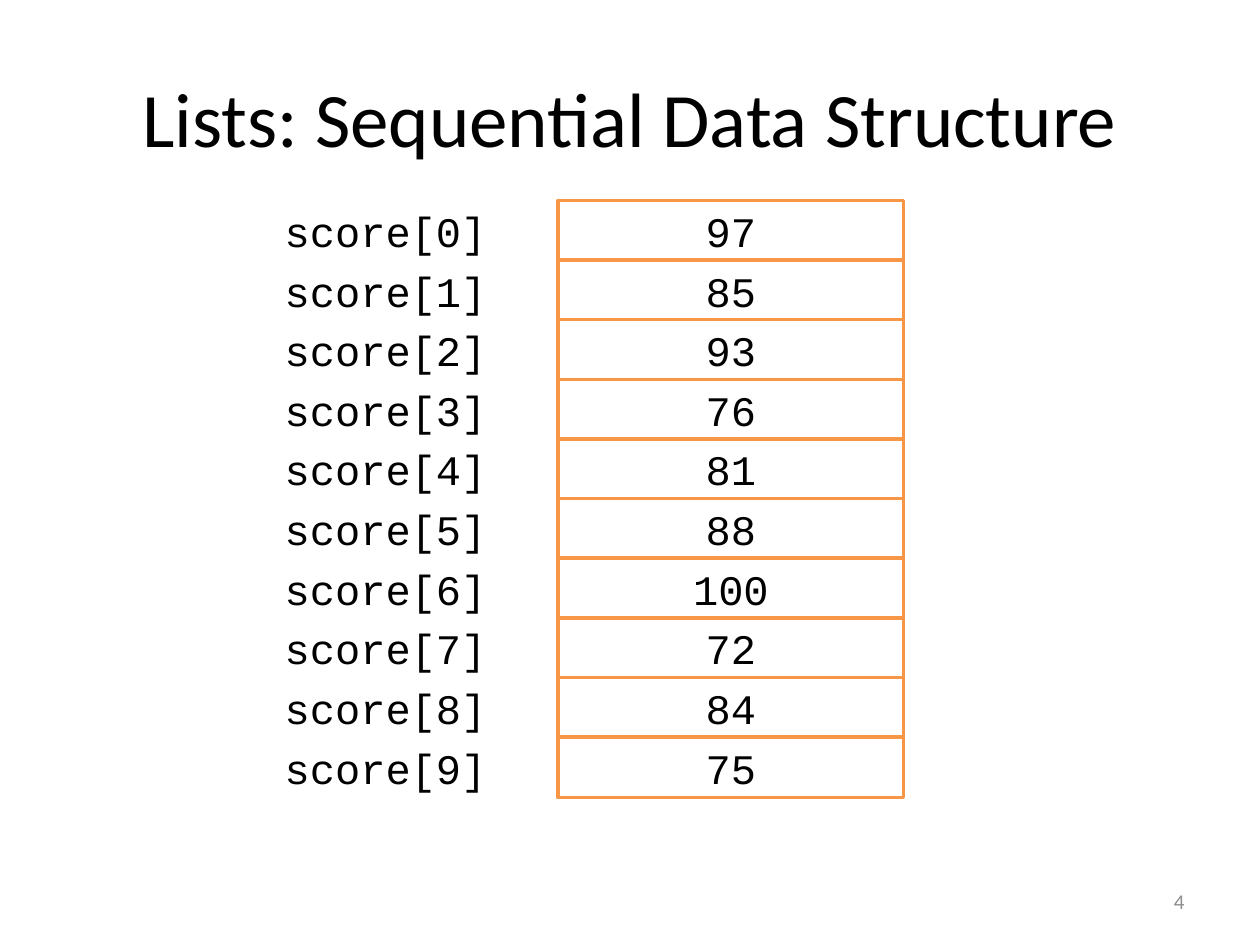
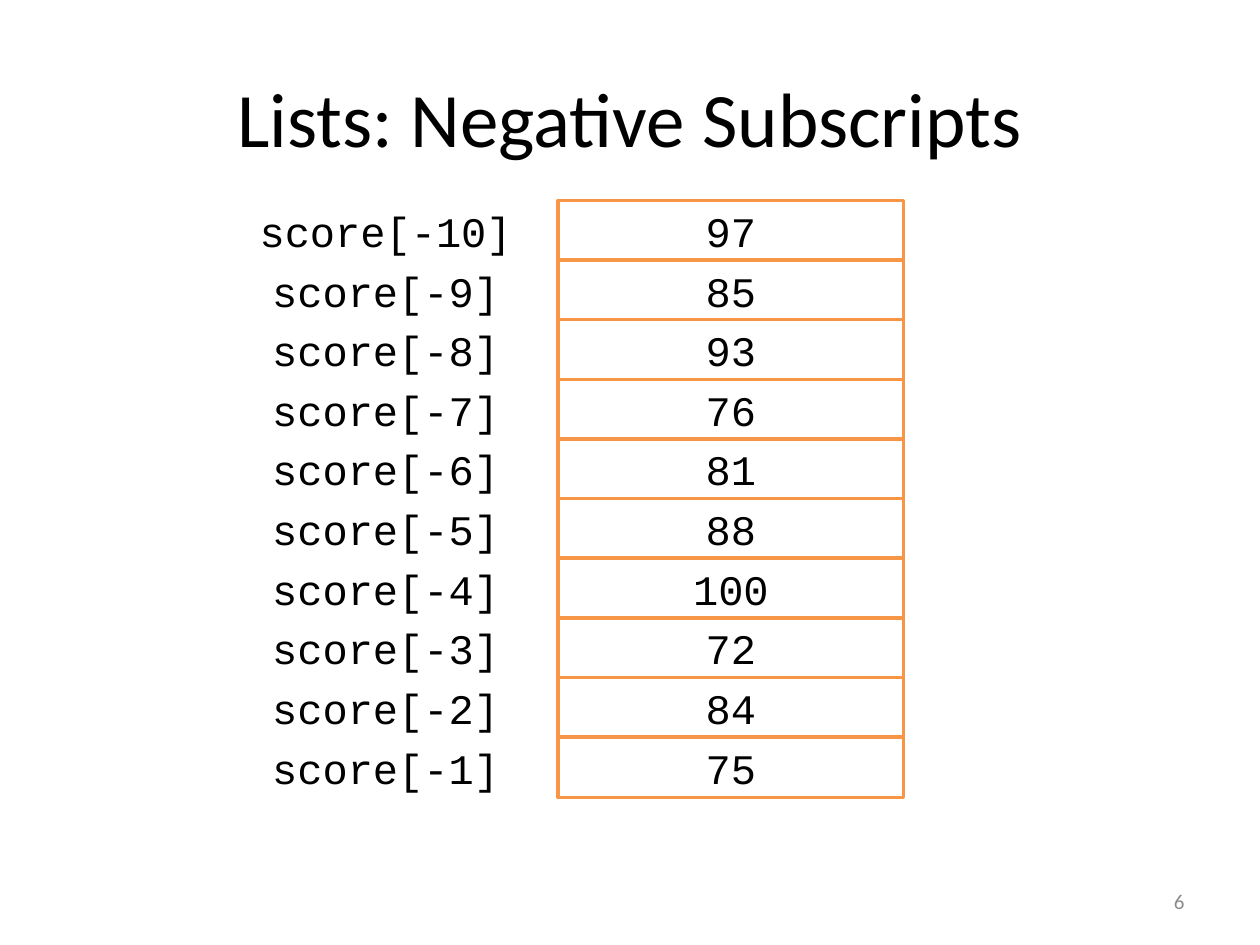
import pptx
import pptx.dml.color
import pptx.enum.shapes
import pptx.enum.text
import pptx.util

Pt = pptx.util.Pt
RGBColor = pptx.dml.color.RGBColor
PP_ALIGN = pptx.enum.text.PP_ALIGN

BLACK = RGBColor(0x00, 0x00, 0x00)
WHITE = RGBColor(0xFF, 0xFF, 0xFF)
ORANGE = RGBColor(0xF7, 0x96, 0x46)
GRAY = RGBColor(0x8C, 0x8C, 0x8C)

BODY_FONT = "Calibri"
CODE_FONT = "Courier New"

TITLE_ONLY_LAYOUT = 5
LABEL_LEFT = 121.7
VALUE_LEFT = 319
FIRST_ROW_TOP = 114.5
ROW_PITCH = 34.08
CELL_WIDTH = 197.3
CELL_HEIGHT = 34.5

SCORES = [97, 85, 93, 76, 81, 88, 100, 72, 84, 75]


def place(shape, left, top, width, height):
    shape.left, shape.top = Pt(left), Pt(top)
    shape.width, shape.height = Pt(width), Pt(height)


def write_text(shape, text, font_name, size, color, alignment):
    frame = shape.text_frame
    frame.word_wrap = True
    frame.auto_size = pptx.enum.text.MSO_AUTO_SIZE.NONE
    frame.vertical_anchor = pptx.enum.text.MSO_ANCHOR.MIDDLE
    paragraph = frame.paragraphs[0]
    paragraph.alignment = alignment
    run = paragraph.add_run()
    run.text = text
    run.font.name = font_name
    run.font.size = Pt(size)
    run.font.color.rgb = color


def add_title(slide, text):
    title = slide.shapes.title
    place(title, 36, 21.6, 648, 90)
    write_text(title, text, BODY_FONT, 44, BLACK, PP_ALIGN.CENTER)


def add_page_number(slide, number):
    box = slide.shapes.add_textbox(Pt(516), Pt(500.5), Pt(168), Pt(28.8))
    write_text(box, str(number), BODY_FONT, 12, GRAY, PP_ALIGN.RIGHT)


def add_cell(group, left, row, text, line_color=None):
    cell = group.shapes.add_shape(
        pptx.enum.shapes.MSO_SHAPE.RECTANGLE,
        Pt(left), Pt(FIRST_ROW_TOP + row * ROW_PITCH), Pt(CELL_WIDTH), Pt(CELL_HEIGHT))
    cell.shadow.inherit = False
    cell.fill.solid()
    cell.fill.fore_color.rgb = WHITE
    if line_color is None:
        cell.line.fill.background()
    else:
        cell.line.color.rgb = line_color
        cell.line.width = Pt(2)
    write_text(cell, text, CODE_FONT, 24, BLACK, PP_ALIGN.CENTER)


def add_score_list(slide, first_subscript):
    group = slide.shapes.add_group_shape()
    for row in range(len(SCORES)):
        add_cell(group, LABEL_LEFT, row, f"score[{first_subscript + row}]")
    for row, score in enumerate(SCORES):
        add_cell(group, VALUE_LEFT, row, str(score), ORANGE)


def add_list_slide(presentation, title, first_subscript, page_number):
    layout = presentation.slide_layouts[TITLE_ONLY_LAYOUT]
    slide = presentation.slides.add_slide(layout)
    add_title(slide, title)
    add_score_list(slide, first_subscript)
    add_page_number(slide, page_number)


def main():
    presentation = pptx.Presentation()
    presentation.slide_width = Pt(720)
    presentation.slide_height = Pt(540)
    add_list_slide(presentation, "Lists: Sequential Data Structure", 0, 4)
    add_list_slide(presentation, "Lists: Negative Subscripts", -len(SCORES), 6)
    presentation.save("out.pptx")


if __name__ == "__main__":
    main()
